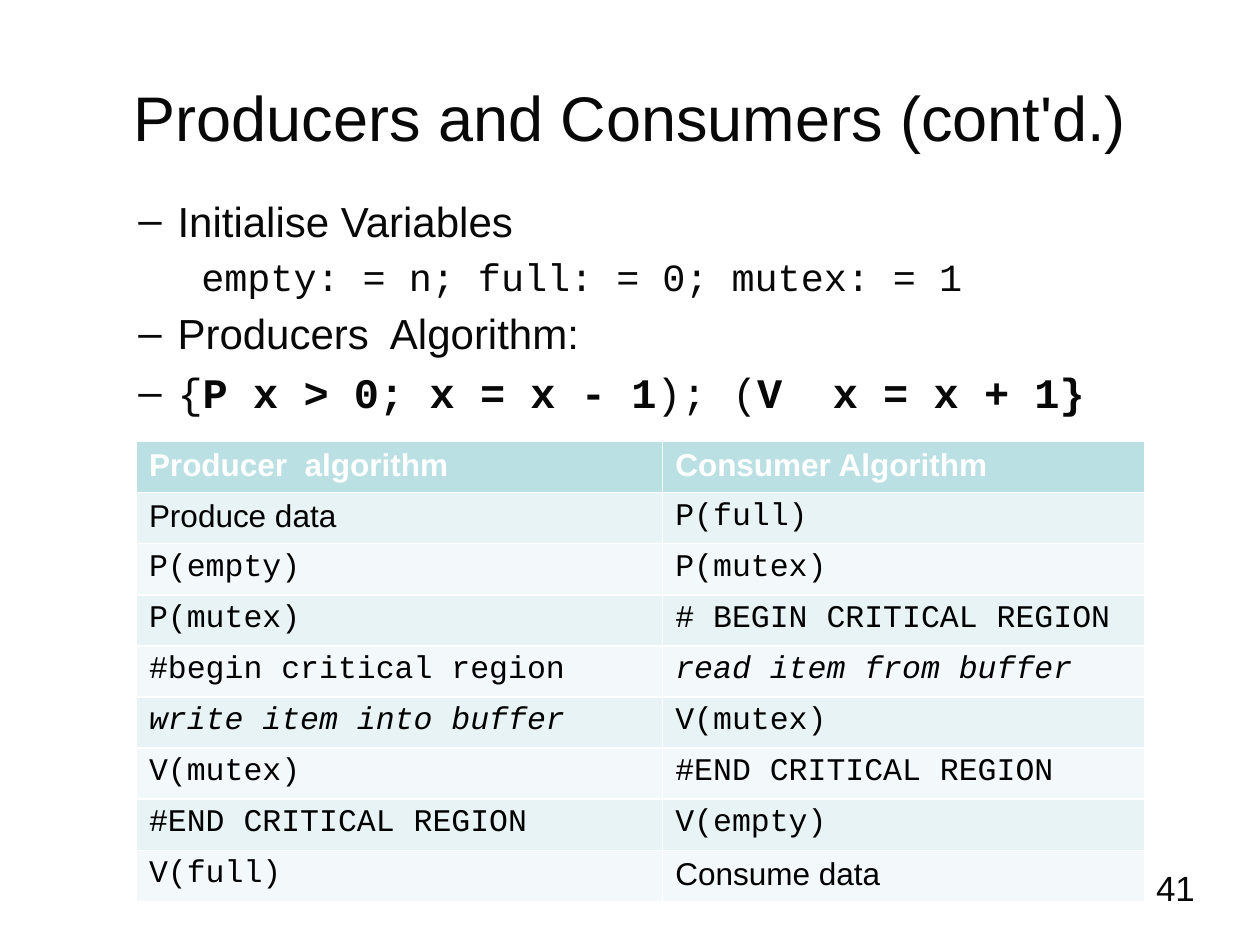
from pptx import Presentation
from pptx.dml.color import RGBColor
from pptx.enum.text import MSO_ANCHOR, PP_ALIGN
from pptx.util import Cm, Pt
from lxml.etree import SubElement
from pptx.oxml.ns import qn

COLORS = {"ink": "080808", "cell": "000000", "white": "FFFFFF",
          "header": "BBE0E3", "odd": "E7F3F4", "even": "F3F9FA"}
SANS, MONO = "Arial", "Courier New"
BULLETED, INDENTED = (2.06, -0.79, "–"), (3.18, -0.64, None)

OUTLINE = [
    (BULLETED, SANS, 24, [("Initialise Variables", False)]),
    (INDENTED, MONO, 22, [("empty: = n; full: = 0; mutex: = 1", False)]),
    (BULLETED, SANS, 24, [("Producers  Algorithm:", False)]),
    (BULLETED, MONO, 24, [("{", False), ("P x > 0; x = x - 1", True),
                          ("); (", False), ("V  x = x + 1}", True)]),
]
ALGORITHMS = [
    ("Producer  algorithm", "Consumer Algorithm"),
    ("Produce data", "P(full)"),
    ("P(empty)", "P(mutex)"),
    ("P(mutex)", "# BEGIN CRITICAL REGION"),
    ("#begin critical region", "read item from buffer"),
    ("write item into buffer", "V(mutex)"),
    ("V(mutex)", "#END CRITICAL REGION"),
    ("#END CRITICAL REGION", "V(empty)"),
    ("V(full)", "Consume data"),
]
PLAIN_STEPS = {"Produce data", "Consume data"}
BUFFER_STEPS = {"read item from buffer", "write item into buffer"}


def style(font, name, size, color):
    """Set the typeface, size and colour of a font."""
    font.name, font.size = name, Pt(size)
    font.color.rgb = RGBColor.from_string(COLORS[color])


def set_indent(paragraph, margin, first_line, bullet):
    """Give a paragraph its hanging indent and optional bullet."""
    properties = paragraph._p.get_or_add_pPr()
    properties.set("marL", str(Cm(margin)))
    properties.set("indent", str(Cm(first_line)))
    if bullet:
        SubElement(properties, qn("a:buFont")).set("typeface", SANS)
        SubElement(properties, qn("a:buChar")).set("char", bullet)
    else:
        SubElement(properties, qn("a:buNone"))


def place_title(slide, left, top, width, height):
    """Move and format the title placeholder."""
    title = slide.shapes.title
    title.left, title.top, title.width, title.height = left, top, width, height
    title.text_frame.text = "Producers and Consumers (cont'd.)"
    title.text_frame.vertical_anchor = MSO_ANCHOR.MIDDLE
    heading = title.text_frame.paragraphs[0]
    heading.alignment = PP_ALIGN.CENTER
    style(heading.font, SANS, 36, "ink")


def add_outline(slide, left, top, width, height):
    """Add the list of variables and algorithm notes."""
    frame = slide.shapes.add_textbox(left, top, width, height).text_frame
    frame.word_wrap = True
    for index, (indent, name, size, pieces) in enumerate(OUTLINE):
        line = frame.add_paragraph() if index else frame.paragraphs[0]
        set_indent(line, *indent)
        if index:
            line.space_before = Pt(size * 0.2)
        style(line.font, name, size, "ink")
        for words, bold in pieces:
            piece = line.add_run()
            piece.text = words
            style(piece.font, name, size, "ink")
            piece.font.bold = bold


def add_algorithms(slide, left, top, width, height):
    """Add the table that sets producer steps beside consumer steps."""
    table = slide.shapes.add_table(len(ALGORITHMS), 2, left, top, width, height).table
    producer, consumer = table.columns
    producer.width = Cm(10.61)
    consumer.width = width - producer.width
    for row, steps in enumerate(ALGORITHMS):
        header = row == 0
        fill = "header" if header else "odd" if row % 2 else "even"
        for column, step in enumerate(steps):
            cell = table.cell(row, column)
            cell.text = step
            cell.fill.solid()
            cell.fill.fore_color.rgb = RGBColor.from_string(COLORS[fill])
            font = cell.text_frame.paragraphs[0].font
            name = SANS if header or step in PLAIN_STEPS else MONO
            style(font, name, 18, "white" if header else "cell")
            font.bold, font.italic = header, step in BUFFER_STEPS


def add_page_number(slide, left, top, width, height):
    """Add the right-aligned page number."""
    frame = slide.shapes.add_textbox(left, top, width, height).text_frame
    frame.word_wrap = True
    frame.text = "41"
    number = frame.paragraphs[0]
    number.alignment = PP_ALIGN.RIGHT
    style(number.font, SANS, 20, "ink")


def main():
    """Build and save the slide."""
    deck = Presentation()
    deck.slide_width, deck.slide_height = Cm(25.4), Cm(19.05)
    slide = deck.slides.add_slide(deck.slide_layouts[5])
    place_title(slide, Cm(1.27), Cm(0.76), Cm(22.86), Cm(3.18))
    add_outline(slide, Cm(1.27), Cm(3.81), Cm(22.86), Cm(14.6))
    add_page_number(slide, Cm(18.42), Cm(17.35), Cm(5.92), Cm(1.32))
    add_algorithms(slide, Cm(2.75), Cm(8.9), Cm(20.32), Cm(9.27))
    deck.save("out.pptx")


if __name__ == "__main__":
    main()
